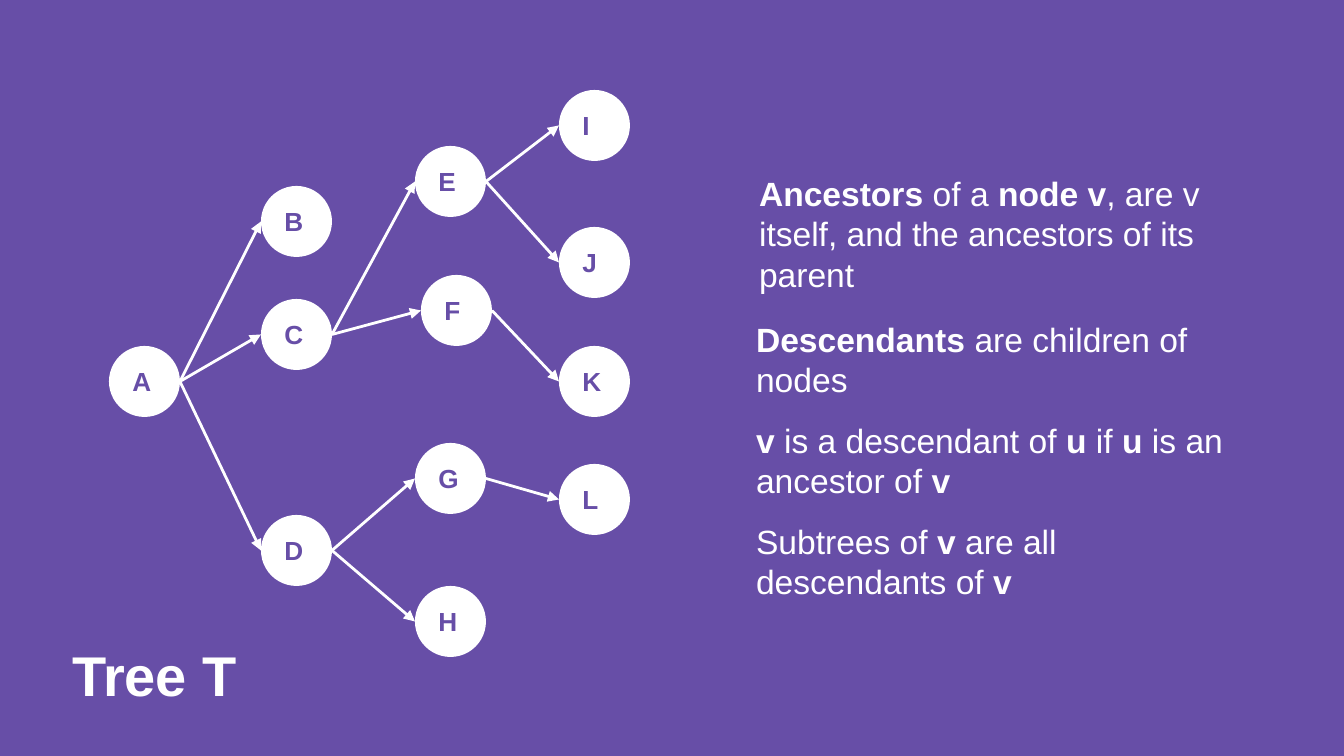
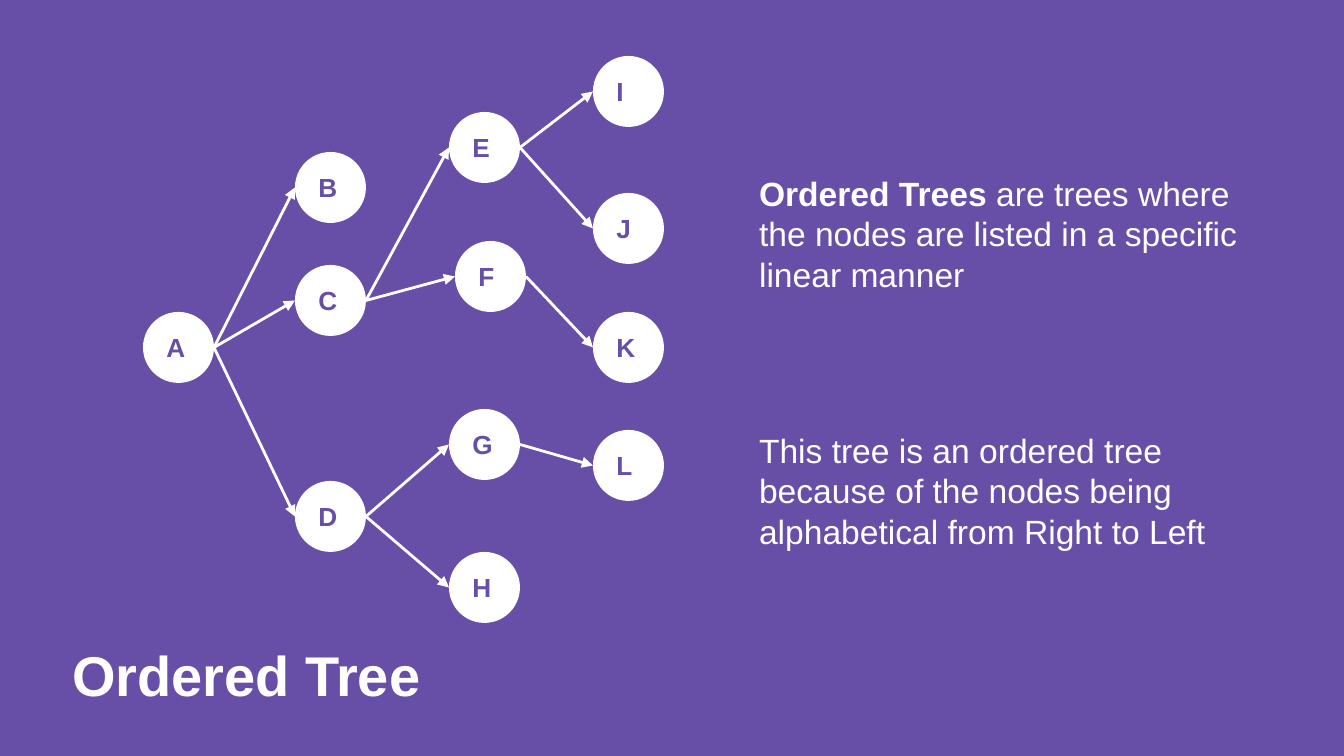
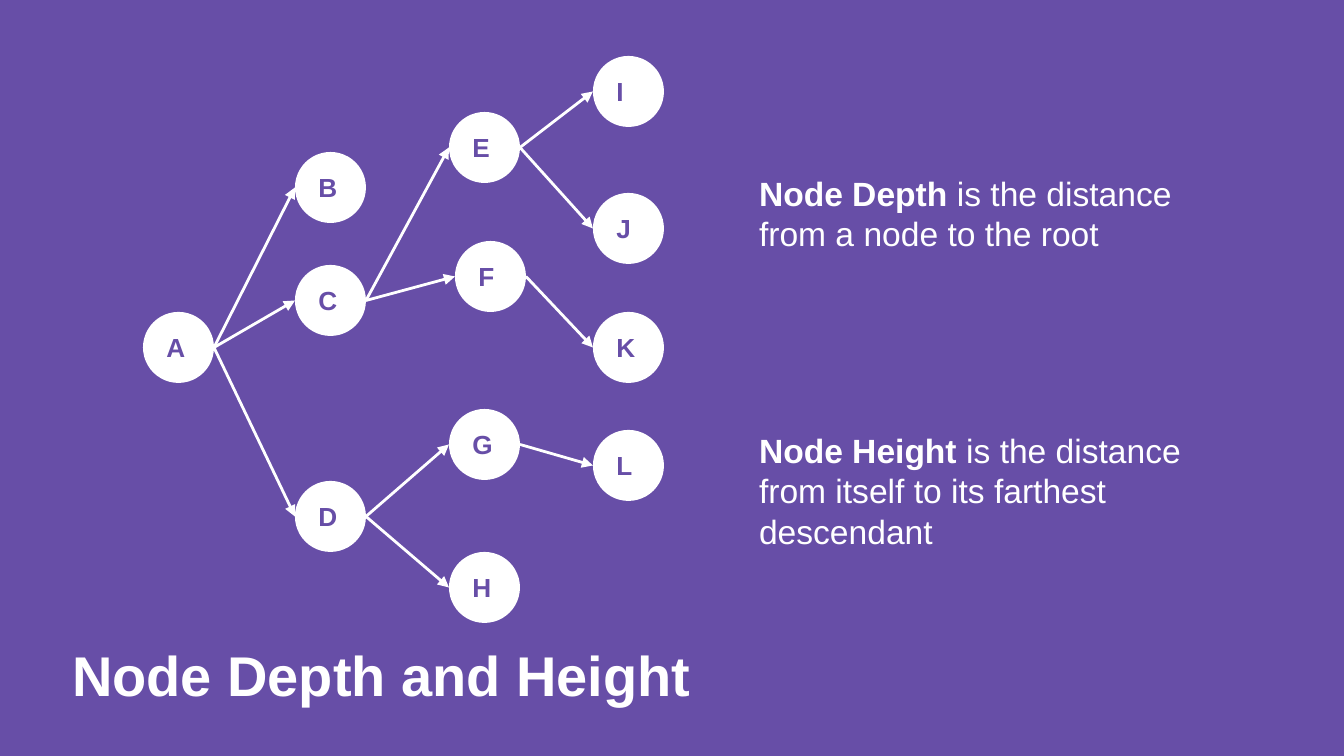
"""Build three slides that explain terms about trees beside a node diagram."""
from dataclasses import dataclass

from lxml.etree import SubElement
from pptx import Presentation
from pptx.dml.color import RGBColor
from pptx.enum.shapes import MSO_CONNECTOR, MSO_SHAPE
from pptx.enum.text import MSO_ANCHOR, MSO_AUTO_SIZE, PP_ALIGN
from pptx.oxml.ns import qn
from pptx.util import Emu, Pt


@dataclass(frozen=True)
class Theme:
    purple: RGBColor = RGBColor(0x67, 0x4E, 0xA7)
    white: RGBColor = RGBColor(0xFF, 0xFF, 0xFF)
    font: str = "Arial"
    title: int = 30
    body: int = 18
    node: int = 14
    arrow: float = 1.5


THEME = Theme()
EMU_PER_PX = 914400 / 134.4
TITLE_ONLY = 5
INSET = 13
NODE = 71
ELLIPSE_LEFT, ELLIPSE_RIGHT = 2, 6

NODES = {
    "A": (0, 256), "B": (152, 96), "C": (152, 209), "D": (152, 425),
    "G": (306, 353), "H": (306, 496), "F": (312, 185), "E": (306, 56),
    "I": (450, 0), "J": (450, 137), "K": (450, 256), "L": (450, 374),
}
CHILDREN = {"A": "BCD", "D": "HG", "C": "FE", "E": "IJ", "F": "K", "G": "L"}

SLIDES = [
    ("Tree T", 300, (109, 90), [
        (746, 160, "**Ancestors** of a **node v**, are v itself, and the ancestors of its parent"),
        (743, 306, "**Descendants **are children of nodes"),
        (743, 407, "**v **is a descendant of **u **if **u **is an ancestor of **v**"),
        (743, 508, "Subtrees of **v** are all descendants of **v**"),
    ]),
    ("Ordered Tree", 500, (143, 56), [
        (746, 160, "**Ordered Trees** are trees where the nodes are listed in a specific linear manner"),
        (746, 417, "This tree is an ordered tree because of the nodes being alphabetical from Right to Left"),
    ]),
    ("Node Depth and Height", 714, (143, 56), [
        (746, 160, "**Node Depth **is the distance from a node to the root"),
        (746, 417, "**Node Height** is the distance from itself to its farthest descendant"),
    ]),
]


def px(*lengths):
    """Turn pixel lengths into a list of EMU lengths."""
    return [Emu(round(n * EMU_PER_PX)) for n in lengths]


def write(sp, text, size, color, anchor=MSO_ANCHOR.TOP):
    """Fill a shape with one paragraph whose **marked** parts are bold."""
    tf = sp.text_frame
    tf.word_wrap = True
    tf.auto_size = MSO_AUTO_SIZE.NONE
    tf.vertical_anchor = anchor
    tf.margin_left, tf.margin_top, tf.margin_right, tf.margin_bottom = px(*[INSET] * 4)
    p = tf.paragraphs[0]
    p.alignment = PP_ALIGN.LEFT
    p.font.name = THEME.font
    p.font.size = Pt(size)
    p.font.color.rgb = color
    for i, part in enumerate(text.split("**")):
        if part:
            r = p.add_run()
            r.text = part
            r.font.bold = i % 2 == 1


def add_node(s, label, x, y):
    """Draw one round node with its letter."""
    sp = s.shapes.add_shape(MSO_SHAPE.OVAL, *px(x, y, NODE, NODE))
    sp.shadow.inherit = False
    sp.fill.solid()
    sp.fill.fore_color.rgb = THEME.white
    sp.line.fill.background()
    write(sp, f"**{label}**", THEME.node, THEME.purple, MSO_ANCHOR.MIDDLE)
    return sp


def add_arrow(s, parent, child):
    """Join the right side of a parent node to the left side of its child."""
    cxn = s.shapes.add_connector(
        MSO_CONNECTOR.STRAIGHT,
        parent.left + parent.width, parent.top + parent.height // 2,
        child.left, child.top + child.height // 2)
    cxn.line.color.rgb = THEME.white
    cxn.line.width = Pt(THEME.arrow)
    SubElement(cxn.get_or_add_ln(), qn("a:tailEnd"), type="triangle")
    SubElement(cxn.element.spPr, qn("a:effectLst"))
    joins = cxn.element.nvCxnSpPr.cNvCxnSpPr
    SubElement(joins, qn("a:stCxn"), id=str(parent.shape_id), idx=str(ELLIPSE_RIGHT))
    SubElement(joins, qn("a:endCxn"), id=str(child.shape_id), idx=str(ELLIPSE_LEFT))


def add_tree(s, left, top):
    """Draw the whole tree from its top left corner."""
    nodes = {label: add_node(s, label, left + x, top + y)
             for label, (x, y) in NODES.items()}
    for parent, children in CHILDREN.items():
        for child in children:
            add_arrow(s, nodes[parent], nodes[child])


def add_definition(s, left, top, text):
    """Place one definition beside the tree."""
    write(s.shapes.add_textbox(*px(left, top, 513, 125)), text, THEME.body, THEME.white)


def set_title(s, text, width):
    """Move the title to the bottom left corner and format it."""
    sp = s.shapes.title
    sp.left, sp.top, sp.width, sp.height = px(59, 628, width, 71)
    write(sp, f"**{text}**", THEME.title, THEME.white)


def add_tree_slide(prs, title, title_width, tree_corner, definitions):
    """Add a slide with a tree, its definitions and a title."""
    s = prs.slides.add_slide(prs.slide_layouts[TITLE_ONLY])
    add_tree(s, *tree_corner)
    for definition in definitions:
        add_definition(s, *definition)
    set_title(s, title, title_width)


def main():
    """Build and save the presentation."""
    prs = Presentation()
    prs.slide_width, prs.slide_height = px(1344, 756)
    fill = prs.slide_master.background.fill
    fill.solid()
    fill.fore_color.rgb = THEME.purple
    for slide in SLIDES:
        add_tree_slide(prs, *slide)
    prs.save("out.pptx")


if __name__ == "__main__":
    main()
